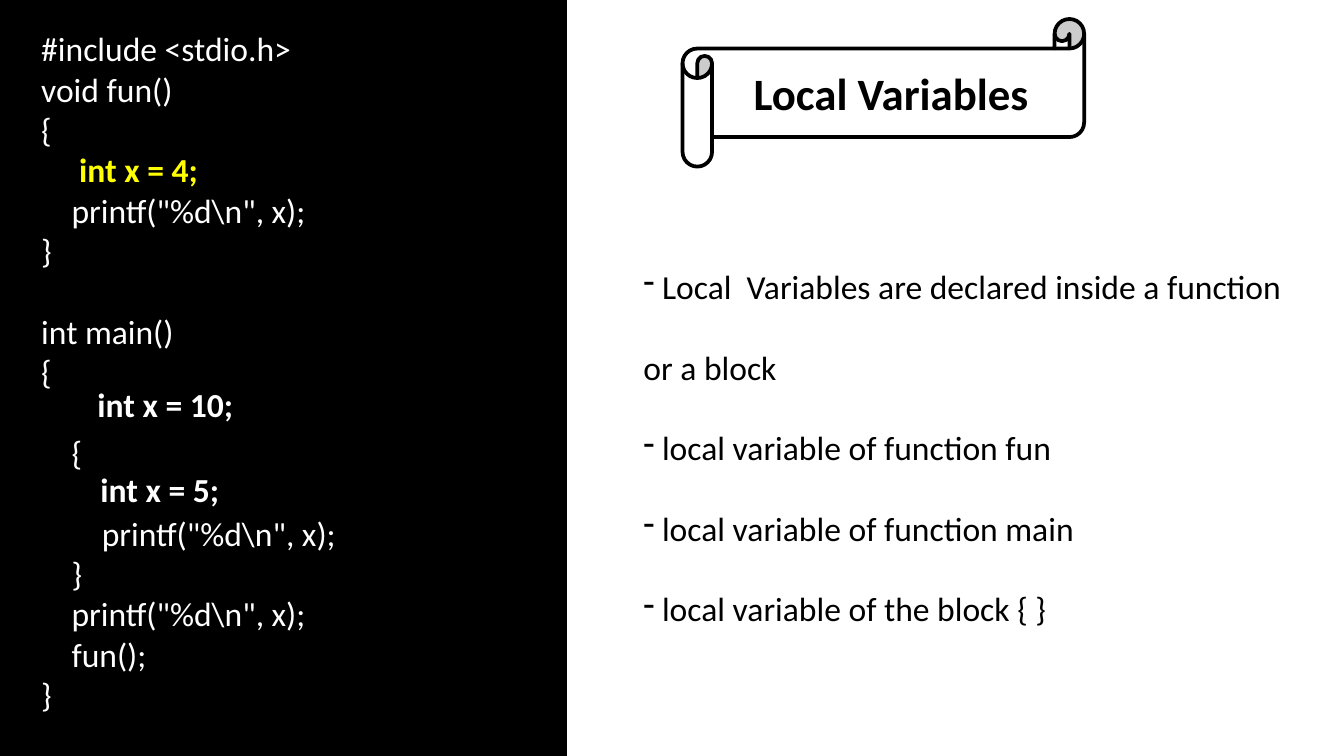
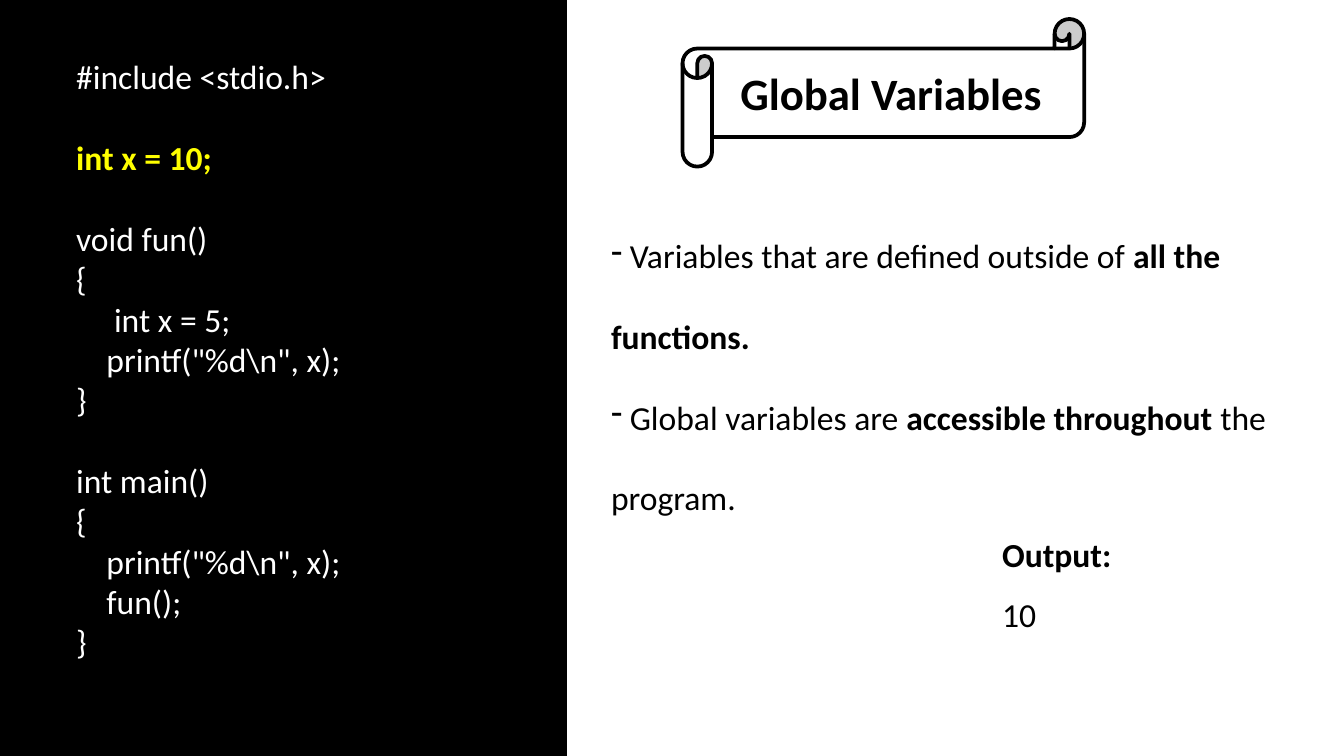
import pptx
import pptx.util
import pptx.dml.color
import pptx.enum.shapes
import pptx.enum.text
import lxml.etree

Cm, Pt = pptx.util.Cm, pptx.util.Pt
Shape = pptx.enum.shapes.MSO_SHAPE
Text = pptx.enum.text
BLACK, WHITE, YELLOW = "000000", "FFFFFF", "FFFF00"
LINE = 21.7  # height of one 18 pt code line, in points


def tint(hue):
    return pptx.dml.color.RGBColor.from_string(hue)


def write(slide, box, lines, hue=BLACK, strong=None, space=None, dash=False, wrap=True):
    """Add a text box; ** marks bold parts, and an empty line becomes a gap."""
    frame = slide.shapes.add_textbox(*[Cm(side) for side in box]).text_frame
    frame.word_wrap = wrap
    frame.auto_size = Text.MSO_AUTO_SIZE.NONE
    gap, first = 0, True
    for line in lines:
        if not line:
            gap += LINE
            continue
        para = frame.paragraphs[0] if first else frame.add_paragraph()
        first = False
        if space:
            para.line_spacing = space
        if gap:
            para.space_before = Pt(gap)
            gap = 0
        if dash:
            props = para._p.get_or_add_pPr()
            props.set("marL", "0")
            props.set("indent", "0")
            for tag in ("buFontTx", "buChar"):
                mark = lxml.etree.SubElement(props, pptx.oxml.ns.qn("a:" + tag))
            mark.set("char", "-")
        parts = [(part, bool(spot % 2)) for spot, part in enumerate(line.split("**")) if part]
        whole = len(parts) == 1
        bold = whole and parts[0][1]
        para.font.name = "Calibri"
        para.font.size = Pt(18)
        para.font.bold = bold
        para.font.color.rgb = tint(strong if bold and strong else hue)
        for part, heavy in parts:
            run = para.add_run()
            run.text = part
            if not whole:
                run.font.bold = heavy


deck = pptx.Presentation()
deck.slide_width, deck.slide_height = Cm(25.4), Cm(14.29)

# Wording; the two empty lines in main hold the separate declarations
local = r'''#include <stdio.h>
void fun()
{
**     int x = 4;**
    printf("%d\n", x);
}

int main()
{

    {

        printf("%d\n", x);
    }
    printf("%d\n", x);
    fun();
}'''

world = r'''#include <stdio.h>

**int x = 10;**

void fun()
{
     int x = 5;
    printf("%d\n", x);
}

int main()
{
    printf("%d\n", x);
    fun();
}'''

pages = [
    ("Local Variables", local, (0.53, 0.41, 8.71, 13.34), (11.91, 4.14, 13, 7.95), [
        " Local  Variables are declared inside a function or a block",
        " local variable of function fun",
        " local variable of function main",
        " local variable of the block { }"]),
    ("Global Variables", world, (1.19, 0.94, 8.71, 11.79), (11.3, 3.56, 13, 6.4), [
        " Variables that are defined outside of **all the functions.**",
        " Global variables are **accessible throughout** the program."]),
]

for name, code, left, right, notes in pages:
    slide = deck.slides.add_slide(deck.slide_layouts[5])

    # Code panel and title scroll
    panel = slide.shapes.add_shape(Shape.RECTANGLE, 0, 0, Cm(10.69), deck.slide_height)
    scroll = slide.shapes.add_shape(Shape.HORIZONTAL_SCROLL, Cm(12.9), Cm(0.36), Cm(7.59), Cm(2.79))
    scroll.adjustments[0] = 0.2
    for shape, hue in ((panel, BLACK), (scroll, WHITE)):
        shape.shadow.inherit = False
        shape.fill.solid()
        shape.fill.fore_color.rgb = tint(hue)
        shape.line.color.rgb = tint(BLACK)
        shape.line.width = Pt(2)

    # Title, lifted above the scroll
    title = slide.shapes.title
    slide.shapes._spTree.append(title._element)
    title.left, title.top, title.width, title.height = Cm(13.46), Cm(0.91), Cm(6.76), Cm(1.68)
    frame = title.text_frame
    frame.text = name
    frame.word_wrap = True
    frame.auto_size = Text.MSO_AUTO_SIZE.NONE
    frame.vertical_anchor = Text.MSO_ANCHOR.MIDDLE
    frame.margin_top = frame.margin_bottom = 0
    para = frame.paragraphs[0]
    para.alignment = Text.PP_ALIGN.CENTER
    para.font.name = "Calibri"
    para.font.size = Pt(24)
    para.font.bold = True
    para.font.color.rgb = tint(BLACK)

    # Code and notes
    write(slide, left, code.split("\n"), hue=WHITE, strong=YELLOW)
    write(slide, right, notes, space=2.0, dash=True)

# Declarations set into the local code
first, last = deck.slides
write(first, (1.45, 7.14, 3.2, 1.02), ["** int x = 10;**"], hue=WHITE, wrap=False)
write(first, (1.65, 8.74, 2.74, 1.02), ["**int x = 5;**"], hue=WHITE, wrap=False)

# Output of the global code
write(last, (18.69, 9.58, 2.57, 2.57), ["**Output:**", "10"], space=1.5, wrap=False)

deck.save("out.pptx")
